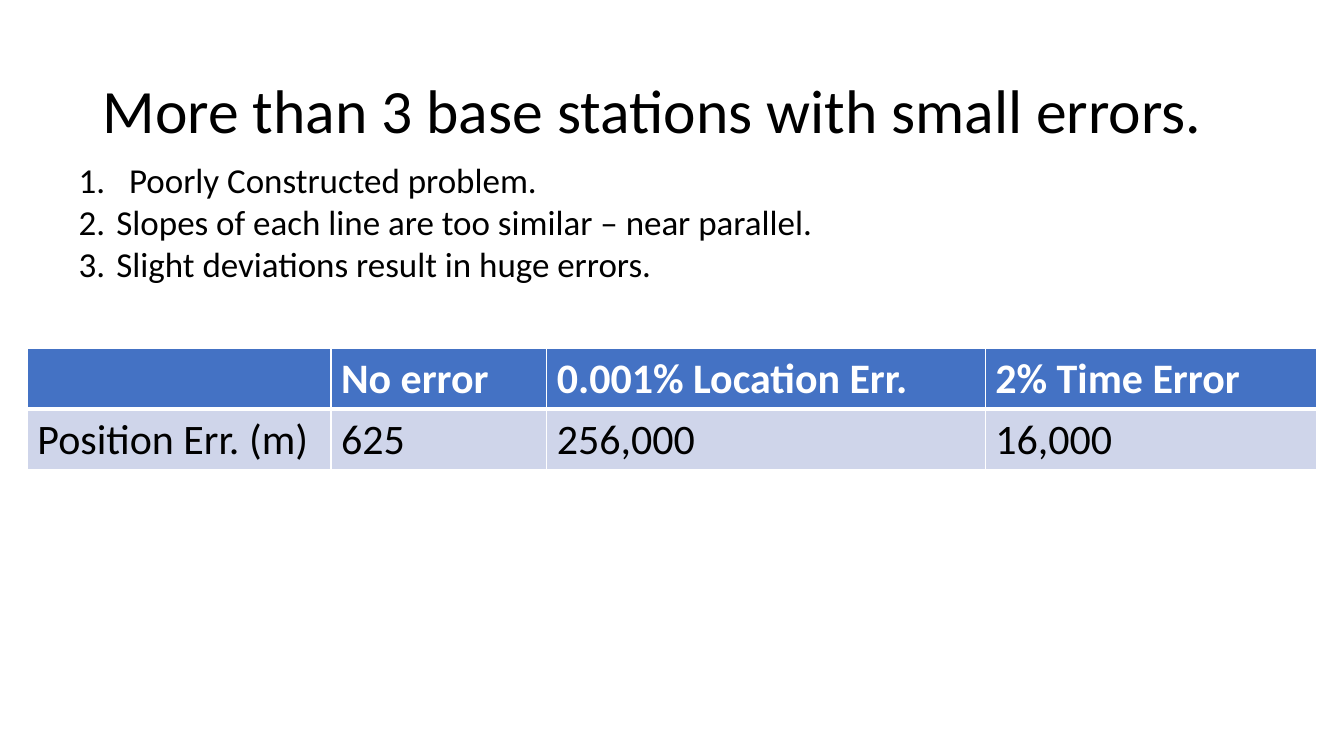
import pptx
import pptx.util
import pptx.dml.color
import pptx.enum.text
import pptx.oxml.ns
from lxml import etree

Cm, Pt = pptx.util.Cm, pptx.util.Pt
COLORS = {"text": "000000", "header": "4472C4", "band": "CFD5EA", "white": "FFFFFF"}


def rgb(name):
    return pptx.dml.color.RGBColor.from_string(COLORS[name])


def write(paragraph, text, size, color="text", bold=False):
    run = paragraph.add_run()
    run.text = text
    formats = {"name": "Calibri", "size": Pt(size), "bold": bold}
    for attribute, value in formats.items():
        setattr(run.font, attribute, value)
    run.font.color.rgb = rgb(color)


deck = pptx.Presentation()
deck.slide_width, deck.slide_height = Cm(33.87), Cm(19.05)
slide = deck.slides.add_slide(deck.slide_layouts[1])
title, findings = slide.placeholders

# Title
places = [
    (title, {"left": 2.33, "top": 1.02, "width": 29.21, "height": 3.68}),
    (findings, {"left": 1.73, "top": 3.86, "width": 22, "height": 3.45}),
]
for placeholder, place in places:
    for side, length in place.items():
        setattr(placeholder, side, Cm(length))

title.text_frame.auto_size = pptx.enum.text.MSO_AUTO_SIZE.NONE
title.text_frame.vertical_anchor = pptx.enum.text.MSO_ANCHOR.MIDDLE
heading = title.text_frame.paragraphs[0]
heading.alignment = pptx.enum.text.PP_ALIGN.LEFT
heading.line_spacing = 0.9
write(heading, "More than 3 base stations with small errors.", 44)

# Numbered findings
findings.text_frame.auto_size = pptx.enum.text.MSO_AUTO_SIZE.SHAPE_TO_FIT_TEXT
findings_text = [
    ("Poorly Constructed problem.", 1.27),
    ("Slopes of each line are too similar – near parallel.", 0.95),
    ("Slight deviations result in huge errors.", 0.95),
]
for number, (text, indent) in enumerate(findings_text):
    frame = findings.text_frame
    finding = frame.add_paragraph() if number else frame.paragraphs[0]
    finding.space_before = Pt(0)
    finding.line_spacing = 1.0
    write(finding, text, 25)
    properties = finding._p.get_or_add_pPr()
    properties.set("marL", str(Cm(indent)))
    properties.set("indent", str(-Cm(indent)))
    etree.SubElement(properties, pptx.oxml.ns.qn("a:buFont"), typeface="+mj-lt")
    etree.SubElement(properties, pptx.oxml.ns.qn("a:buAutoNum"), type="arabicPeriod")

# Position errors
position_errors = [
    ["", "No error", "0.001% Location Err.", "2% Time Error"],
    ["Position Err. (m)", "625", "256,000", "16,000"],
]
row_styles = [
    {"fill": "header", "color": "white", "bold": True},
    {"fill": "band", "color": "text", "bold": False},
]
column_widths = [7.65, 5.44, 11.05, 8.36]
row_height = 1.52
errors_table = slide.shapes.add_table(
    len(position_errors), len(column_widths), Cm(0.69), Cm(8.79),
    Cm(sum(column_widths)), Cm(row_height * len(position_errors)),
).table
for column, width in zip(errors_table.columns, column_widths):
    column.width = Cm(width)

for row, (texts, style) in enumerate(zip(position_errors, row_styles)):
    for column, text in enumerate(texts):
        cell = errors_table.cell(row, column)
        if text:
            write(cell.text_frame.paragraphs[0], text, 30, style["color"], style["bold"])
        cell_properties = cell._tc.get_or_add_tcPr()
        borders = {"lnL": 1, "lnR": 1, "lnT": 3 if row else 1, "lnB": 1 if row else 3}
        for edge, points in borders.items():
            line = etree.SubElement(
                cell_properties, pptx.oxml.ns.qn(f"a:{edge}"), w=str(Pt(points)))
            line_fill = etree.SubElement(line, pptx.oxml.ns.qn("a:solidFill"))
            etree.SubElement(
                line_fill, pptx.oxml.ns.qn("a:srgbClr"), val=COLORS["white"])
        cell.fill.solid()
        cell.fill.fore_color.rgb = rgb(style["fill"])

deck.save("out.pptx")
